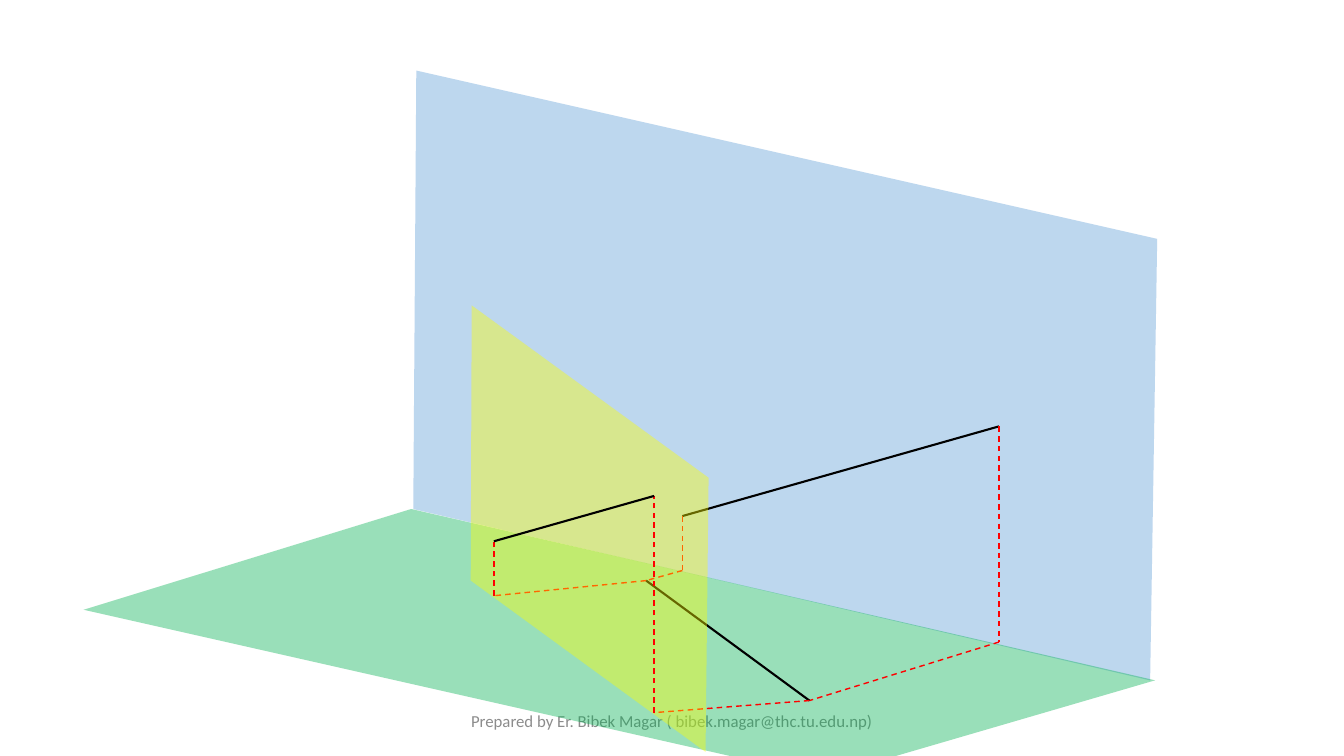
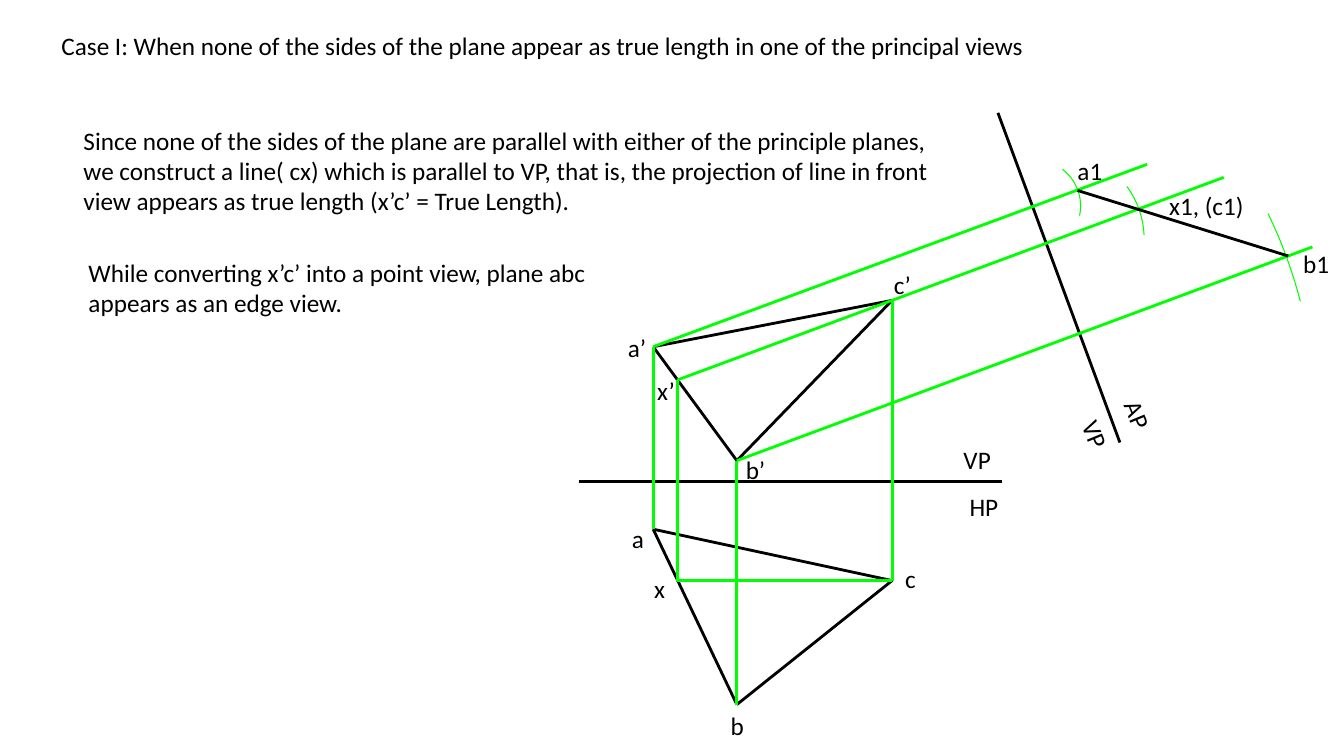
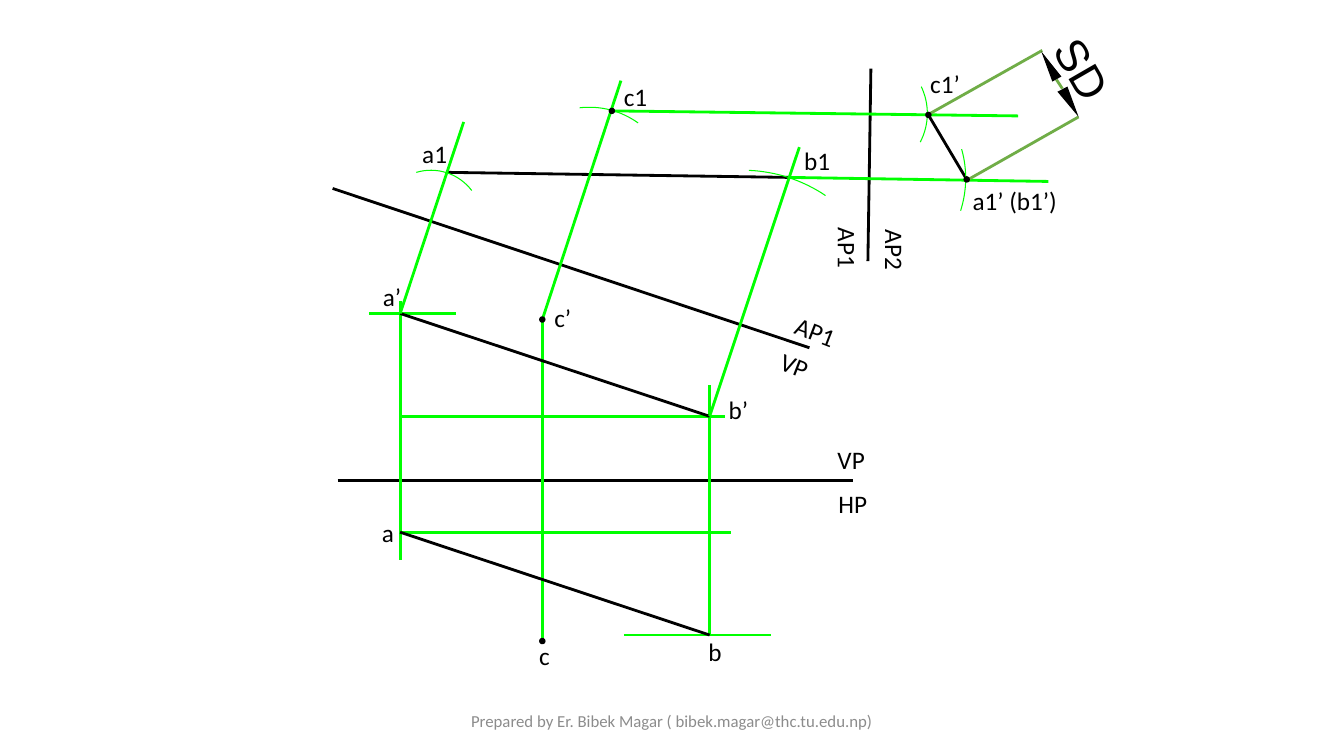
import math
from dataclasses import dataclass

from lxml import etree
from pptx import Presentation, util as u
from pptx.dml.color import RGBColor
from pptx.enum import dml, shapes, text
from pptx.oxml import ns

# Shared grid and style: ten cells to the inch
CELL = 0.1
COLUMNS, ROWS = 133.33, 75
COLORS = {
    "ink": "000000", "guide": "00FF00", "ray": "FF0000", "dimension": "70AD47",
    "vertical": "5B9BD5", "horizontal": "00B050", "auxiliary": "FFFF00",
    "footer": "8C8C8C",
}
FONT = "Calibri"
TEXT_SIZE = 18
LABEL_WIDTH, LABEL_HEIGHT = 5.1, 4
DOT = 0.5
FOOTER = "Prepared by Er. Bibek Magar ( bibek.magar@thc.tu.edu.np)"
TITLE_ONLY, BLANK = 5, 6

Point = tuple[float, float]


@dataclass
class Segment:
    start: Point
    end: Point
    color: str = "ink"
    weight: float = 0
    dashed: bool = False


@dataclass
class Label:
    words: str
    left: float
    top: float
    width: float = LABEL_WIDTH
    height: float = LABEL_HEIGHT
    turn: float = 0
    wrap: bool = True
    size: float = TEXT_SIZE
    font: str = FONT
    color: str = "ink"
    inset: bool = True
    centered: bool = False


def cells(count: float) -> int:
    return u.Inches(count * CELL)


def rgb(name: str) -> RGBColor:
    return RGBColor.from_string(COLORS[name])


# Text
def format_text(box, label: Label) -> None:
    frame = box.text_frame
    frame.text = label.words
    frame.word_wrap = label.wrap
    frame.vertical_anchor = (text.MSO_ANCHOR.MIDDLE if label.centered
                             else text.MSO_ANCHOR.TOP)
    if not label.inset:
        frame.margin_left = frame.margin_right = 0
        frame.margin_top = frame.margin_bottom = 0
    para = frame.paragraphs[0]
    para.alignment = text.PP_ALIGN.CENTER if label.centered else text.PP_ALIGN.LEFT
    span = para.runs[0]
    span.font.name = label.font
    span.font.size = u.Pt(label.size)
    span.font.color.rgb = rgb(label.color)


def add_labels(page, labels: list[Label]) -> None:
    for label in labels:
        box = page.shapes.add_textbox(cells(label.left), cells(label.top),
                                      cells(label.width), cells(label.height))
        box.rotation = label.turn
        format_text(box, label)


def set_title(page, label: Label) -> None:
    title = page.shapes.title
    title.left, title.top = cells(label.left), cells(label.top)
    title.width, title.height = cells(label.width), cells(label.height)
    format_text(title, label)
    title.text_frame.auto_size = text.MSO_AUTO_SIZE.NONE


def add_footer(page) -> None:
    width = 45
    add_labels(page, [Label(FOOTER, (COLUMNS - width) / 2, 69.5, width,
                            size=12, color="footer", centered=True)])


# Lines and outlines
def add_segments(page, segments: list[Segment]) -> None:
    for segment in segments:
        line = page.shapes.add_connector(
            shapes.MSO_CONNECTOR.STRAIGHT,
            *map(cells, segment.start), *map(cells, segment.end))
        line.line.color.rgb = rgb(segment.color)
        line.line.width = u.Pt(segment.weight)
        if segment.dashed:
            line.line.dash_style = dml.MSO_LINE.DASH
        etree.SubElement(line._element.spPr, ns.qn("a:effectLst"))


def add_outline(page, points: list[Point], closed: bool):
    corners = [(cells(x), cells(y)) for x, y in points]
    builder = page.shapes.build_freeform(*corners[0], scale=1.0)
    builder.add_line_segments(corners[1:], close=closed)
    outline = builder.convert_to_shape()
    outline.shadow.inherit = False
    return outline


def add_area(page, points: list[Point], color: str, opacity: int = 100) -> None:
    area = add_outline(page, points, True)
    area.line.fill.background()
    area.fill.solid()
    area.fill.fore_color.rgb = rgb(color)
    if opacity < 100:
        tint = area._element.spPr.find(ns.qn("a:solidFill"))[0]
        etree.SubElement(tint, ns.qn("a:alpha"), val=str(opacity * 1000))


def add_arc(page, start: Point, middle: Point, end: Point, steps: int = 16) -> None:
    """Draw the circular arc that runs through three points."""
    (ax, ay), (bx, by), (cx, cy) = start, middle, end
    a, b, c = (x * x + y * y for x, y in (start, middle, end))
    d = 2 * (ax * (by - cy) + bx * (cy - ay) + cx * (ay - by))
    ox = (a * (by - cy) + b * (cy - ay) + c * (ay - by)) / d
    oy = (a * (cx - bx) + b * (ax - cx) + c * (bx - ax)) / d
    radius = math.hypot(ax - ox, ay - oy)
    first = math.atan2(ay - oy, ax - ox)
    sweep = math.remainder(math.atan2(cy - oy, cx - ox) - first, math.tau)
    angles = [first + sweep * step / steps for step in range(steps + 1)]
    arc = add_outline(page, [(ox + radius * math.cos(angle), oy + radius * math.sin(angle))
                             for angle in angles], False)
    arc.fill.background()
    arc.line.color.rgb = rgb("guide")
    arc.line.width = 0


def add_dots(page, centers: list[Point]) -> None:
    for x, y in centers:
        dot = page.shapes.add_shape(shapes.MSO_SHAPE.OVAL, cells(x - DOT / 2),
                                    cells(y - DOT / 2), cells(DOT), cells(DOT))
        dot.shadow.inherit = False
        dot.fill.solid()
        dot.fill.fore_color.rgb = rgb("ink")
        dot.line.color.rgb = rgb("ink")
        dot.line.width = u.Pt(1)


def guide(start: Point, end: Point) -> Segment:
    return Segment(start, end, "guide")


def ray(start: Point, end: Point) -> Segment:
    return Segment(start, end, "ray", 1, True)


def edge(start: Point, end: Point) -> Segment:
    return Segment(start, end, weight=1.5)


# Slide: a line projected on three planes
def build_planes(deck) -> None:
    page = deck.slides.add_slide(deck.slide_layouts[BLANK])
    add_footer(page)
    add_area(page, [(41, 50.5), (41.3, 7), (114.8, 23.7), (114.1, 67.5)], "vertical", 40)
    add_area(page, [(40.8, 50.5), (8.3, 60.5), (81.7, 77.1), (114.6, 67.5)],
             "horizontal", 40)

    front_near, front_far = (67.7, 51.2), (99.1, 42.3)
    base_near, base_far = (67.7, 56.6), (99.1, 63.7)
    top_near, top_far = (64.1, 57.6), (80.3, 69.5)
    side_foot_near, side_foot_far = (49, 59.1), (64.9, 70.7)
    side_near, side_far = (49, 53.7), (64.9, 49.2)
    add_segments(page, [
        edge(front_near, front_far),
        ray(front_near, base_near), ray(front_far, base_far),
        ray(base_near, top_near), ray(base_far, top_far),
        edge(top_near, top_far),
        ray(top_near, side_foot_near), ray(top_far, side_foot_far),
    ])
    add_area(page, [(70, 74.6), (70.3, 47.4), (46.8, 30.3), (46.7, 57.6)], "auxiliary", 40)
    add_segments(page, [ray(side_foot_far, side_far), ray(side_foot_near, side_near),
                        edge(side_near, side_far)])


# Slide: edge view of a plane
def build_edge_view(deck) -> None:
    page = deck.slides.add_slide(deck.slide_layouts[TITLE_ONLY])
    set_title(page, Label("Case I: When none of the sides of the plane appear as true "
                          "length in one of the principal views", 5.1, 2.5, 106.5))
    add_labels(page, [
        Label("Since none of the sides of the plane are parallel with either of the "
              "principle planes, we construct a line( cx) which is parallel to VP, that "
              "is, the projection of line in front view appears as true length "
              "(x’c’ = True Length).", 7.3, 11.9, 86, 10.1),
        Label("While converting x’c’ into a point view, plane abc appears as an edge view.",
              7.8, 25, 52.3, 7.1),
    ])

    top = {"a": (64.8, 52.5), "b": (73.1, 69.9), "c": (88.5, 57.6), "x": (67.2, 57.6)}
    front = {"a": (64.8, 34.4), "b": (73.1, 45.7), "c": (88.5, 29.8), "x": (67.2, 37.7)}
    far = {"a": (113.8, 16.3), "b": (130.2, 24.5), "c": (121.4, 17.6)}
    add_segments(page, [Segment((57.4, 47.8), (99.4, 47.8)),
                        Segment((99, 11.2), (111.1, 43.9))])
    for view in (top, front):
        add_segments(page, [Segment(view[p], view[q]) for p, q in ("ac", "cb", "ba")])
        add_segments(page, [guide(view["c"], view["x"])])
    add_segments(page, [guide(top[name], front[name]) for name in top])
    add_segments(page, [guide(front[name], far[name]) for name in far])
    add_arc(page, (107.1, 21.4), (106.9, 18.8), (105.4, 16.8))
    add_arc(page, (129, 29.9), (127.7, 25.7), (125.8, 21.2))
    add_arc(page, (113.5, 23.3), (112.9, 20.5), (111.8, 18.5))
    add_segments(page, [Segment((106.9, 18.9), (127.8, 25.4))])
    add_labels(page, [
        Label("a", 61.7, 51.4), Label("b", 71.5, 70),
        Label("c", 88.8, 55.4), Label("x", 63.9, 56.4),
        Label("b’", 73, 44.6), Label("a’", 61.3, 32.5),
        Label("c’", 87.7, 26.2), Label("x’", 64.2, 36.7),
        Label("x1, (c1)", 115, 18.4, 9.5, wrap=False),
        Label("a1", 105.9, 14.9, 4.5, wrap=False),
        Label("b1", 128.3, 24.1, 4.6, wrap=False),
        Label("HP", 95.2, 48.3, 6.5), Label("VP", 94.6, 43.6, 4.8),
        Label("AP", 110.5, 39.2, 4.8, turn=67.7),
        Label("VP", 106.3, 41.1, 4.8, turn=67.7),
    ])


# Slide: shortest distance from a point to a line
def build_shortest_distance(deck) -> None:
    page = deck.slides.add_slide(deck.slide_layouts[BLANK])
    add_footer(page)
    a_top, b_top, c_top = (39.7, 52.8), (70.4, 63), (53.8, 63.6)
    a_front, b_front, c_front = (39.7, 31.1), (70.4, 41.3), (53.8, 31.7)
    a_first, b_first, c_first = (44.4, 17.1), (78.2, 17.6), (60.7, 11)
    ab_second, c_second = (95.9, 17.8), (92.1, 11.4)
    add_segments(page, [
        # Reference lines
        Segment((33.5, 47.7), (84.6, 47.7)),
        Segment((33, 18.7), (80.3, 34.5)),
        Segment((86.4, 6.8), (86.1, 25.9)),
        # Level and upright guides
        guide((61.9, 63), (76.5, 63)), guide((36.6, 31.1), (45.2, 31.1)),
        guide(a_top, (72.5, 52.8)), guide((39.7, 41.3), (71.9, 41.3)),
        guide((39.7, 29.9), (39.7, 55.6)), guide(c_front, (53.8, 63.7)),
        guide((70.4, 38.2), b_top),
        # Projections of the line
        Segment(a_front, b_front), Segment(a_top, b_top), Segment(a_first, b_first),
        # Guides to the auxiliary views
        guide(b_front, (79.3, 14.6)), guide(a_front, (46, 12.1)),
        guide(c_front, (61.6, 8)), guide(b_first, (104, 18)), guide(c_first, (101, 11.5)),
        # Distance and its dimension
        Segment(c_second, ab_second),
        Segment((92.2, 11.3), (103.4, 5), "dimension"),
        Segment((95.9, 17.9), (107, 11.6), "dimension"),
        Segment((104.8, 7.9), (105.4, 8.8), "dimension"),
    ])
    for arc in [((81.9, 19.4), (78.2, 17.6), (74.3, 16.9)),
                ((46.8, 18.9), (44.5, 17.2), (41.3, 17.1)),
                ((63.3, 12.2), (60.5, 10.9), (57.5, 10.7)),
                ((95.3, 20.9), (95.8, 17.7), (95.4, 14.8)),
                ((91.3, 14.1), (92, 11.4), (91.4, 8.6))]:
        add_arc(page, *arc)
    add_area(page, [(105.3, 7.6), (104.4, 8.1), (103.3, 5.1)], "ink")
    add_area(page, [(105.9, 8.6), (104.9, 9.1), (107, 11.6)], "ink")
    add_dots(page, [c_first, c_top, c_front, c_second, ab_second])
    add_labels(page, [
        Label("SD", 104.3, 4.1, 6.2, 5.4, turn=60, wrap=False, size=32, font="Arial",
              inset=False),
        Label("VP", 82.1, 43.6, 4.8), Label("HP", 82.2, 48, 6.6),
        Label("VP", 76.5, 34.2, 4.8, turn=21.2), Label("AP1", 77.9, 31, 6.8, turn=21.2),
        Label("AP1", 80.7, 23, 6.8, turn=90), Label("AP2", 85.4, 23.2, 6.8, turn=90),
        Label("a’", 37, 27.4), Label("b’", 71.3, 38.6), Label("c’", 54, 29.5),
        Label("b", 69.3, 62.6), Label("a", 36.9, 50.8), Label("c", 52.5, 63),
        Label("b1", 78.8, 13.9), Label("a1", 40.9, 13.2), Label("c1", 60.9, 7.6),
        Label("a1’ (b1’)", 95.5, 17.9, 12.3), Label("c1’", 91.3, 6.3),
    ])


def main() -> None:
    deck = Presentation()
    deck.slide_width, deck.slide_height = cells(COLUMNS), cells(ROWS)
    build_planes(deck)
    build_edge_view(deck)
    build_shortest_distance(deck)
    deck.save("out.pptx")


if __name__ == "__main__":
    main()
